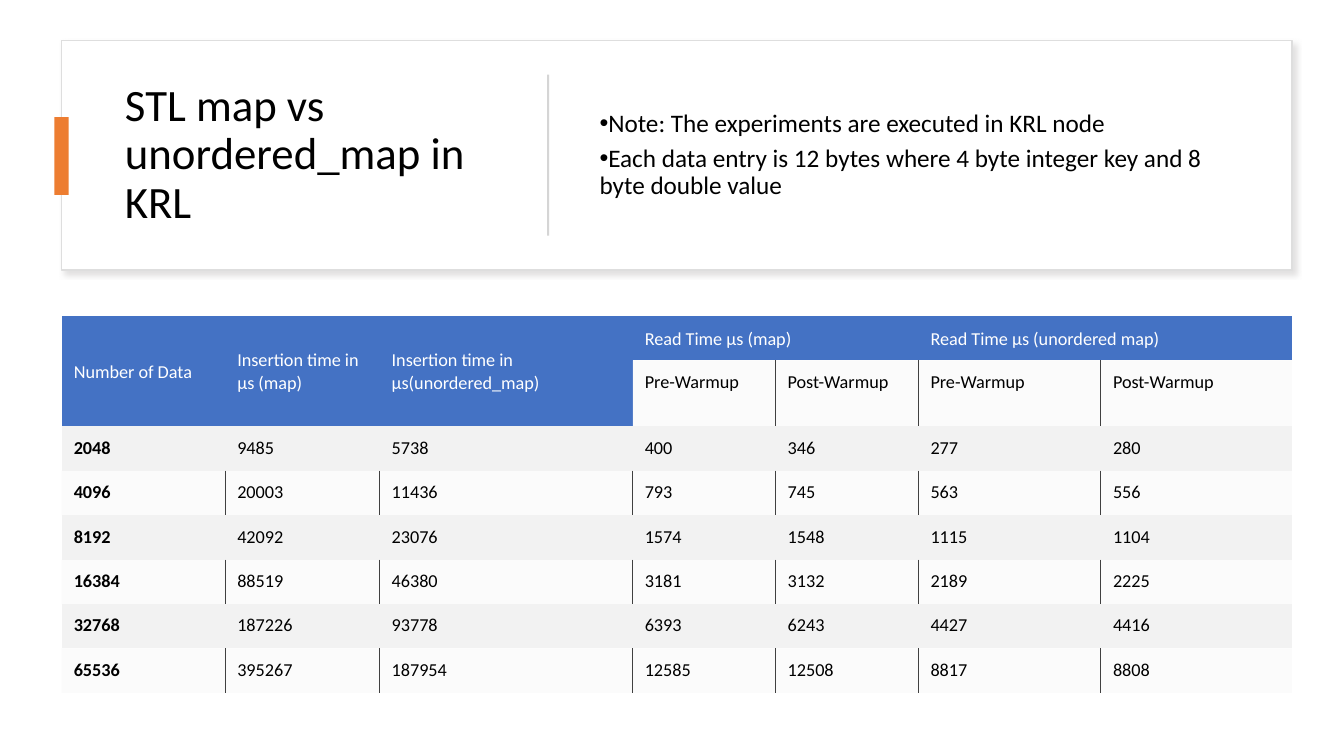
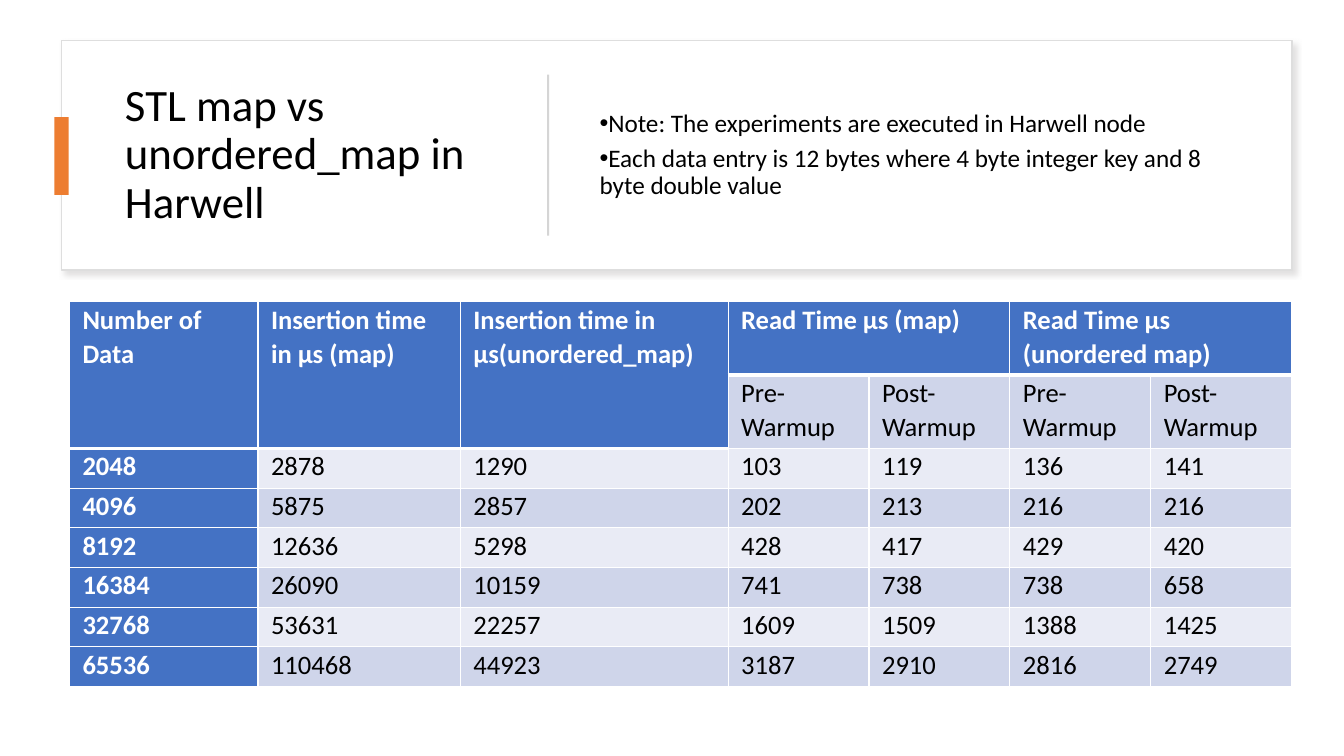
from dataclasses import dataclass

from lxml import etree
from pptx import Presentation
from pptx import util as u
from pptx.dml.color import RGBColor
from pptx.enum import shapes, text
from pptx.oxml import ns


@dataclass(frozen=True)
class Theme:
    font: str = "Calibri"
    title_size: float = 32
    note_size: float = 18
    white: str = "FFFFFF"
    black: str = "000000"
    blue: str = "4472C4"
    orange: str = "ED7D31"
    card_line: str = "DEDEDE"
    card_shadow: str = "C5C3C3"
    divider: str = "D5D5D5"
    grid: str = "404040"
    grey_band: str = "F2F2F2"
    dark_band: str = "CFD5EA"
    light_band: str = "E9EBF5"


@dataclass(frozen=True)
class Box:
    """A region measured in centimetres."""
    left: float
    top: float
    width: float
    height: float

    def inner(self, left, top, width, height):
        return Box(self.left + left, self.top + top, width, height)

    def lengths(self):
        return [u.Cm(value) for value in (self.left, self.top, self.width, self.height)]


@dataclass(frozen=True)
class TableLook:
    size: float
    margins: tuple  # left, top, right, bottom in centimetres
    header_anchor: text.MSO_ANCHOR
    header_bold: bool
    key_column_filled: bool
    white_grid: bool


THEME = Theme()
CARD = Box(1.55, 1.02, 31.01, 5.79)
PLAIN = TableLook(13, (0.31, 0.23, 0.17, 0.23), text.MSO_ANCHOR.MIDDLE, False, False, False)
GRIDDED = TableLook(19, (0.33, 0, 0.33, 0), text.MSO_ANCHOR.TOP, True, True, True)
NO_STYLE = "{2D5ABB26-0587-4C30-8999-92F81FD0307C}"

TALL_HEADERS = ["Number of Data", "Insertion time in µs (map)",
                "Insertion time in µs(unordered_map)"]
GROUPS = ["Read Time µs (map)", "Read Time µs (unordered map)"]
WARMUPS = ["Pre-Warmup", "Post-Warmup"]
HEADER_ROWS = 2
COUNTS = [2048, 4096, 8192, 16384, 32768, 65536]

FIRST_TIMES = [
    [9485, 5738, 400, 346, 277, 280],
    [20003, 11436, 793, 745, 563, 556],
    [42092, 23076, 1574, 1548, 1115, 1104],
    [88519, 46380, 3181, 3132, 2189, 2225],
    [187226, 93778, 6393, 6243, 4427, 4416],
    [395267, 187954, 12585, 12508, 8817, 8808],
]
SECOND_TIMES = [
    [2878, 1290, 103, 119, 136, 141],
    [5875, 2857, 202, 213, 216, 216],
    [12636, 5298, 428, 417, 429, 420],
    [26090, 10159, 741, 738, 738, 658],
    [53631, 22257, 1609, 1509, 1388, 1425],
    [110468, 44923, 3187, 2910, 2816, 2749],
]


def rgb(color):
    return RGBColor.from_string(color)


def add_element(parent, tag, **attributes):
    element = etree.SubElement(parent, ns.qn(tag))
    for name, value in attributes.items():
        element.set(name, str(value))
    return element


def add_run(paragraph, words, size, color=THEME.black, bold=False):
    run = paragraph.add_run()
    run.text = words
    run.font.name = THEME.font
    run.font.size = u.Pt(size)
    run.font.bold = bold
    run.font.color.rgb = rgb(color)


def add_rectangle(slide, box, fill):
    shape = slide.shapes.add_shape(shapes.MSO_SHAPE.RECTANGLE, *box.lengths())
    shape.shadow.inherit = False
    shape.fill.solid()
    shape.fill.fore_color.rgb = rgb(fill)
    shape.line.fill.background()
    return shape


def add_text_frame(slide, box):
    frame = slide.shapes.add_textbox(*box.lengths()).text_frame
    frame.word_wrap = True
    frame.vertical_anchor = text.MSO_ANCHOR.MIDDLE
    return frame


def add_card_shadow(shape):
    effects = shape._element.spPr.find(ns.qn("a:effectLst"))
    shadow = add_element(effects, "a:outerShdw", blurRad=u.Pt(4), dist=u.Pt(3),
                         dir=45 * 60000, algn="tl", rotWithShape=0)
    color = add_element(shadow, "a:srgbClr", val=THEME.card_shadow)
    add_element(color, "a:alpha", val=50000)


def add_heading_card(slide, box, title, notes):
    card = add_rectangle(slide, box, THEME.white)
    card.line.color.rgb = rgb(THEME.card_line)
    card.line.width = u.Pt(1)
    add_card_shadow(card)

    paragraph = add_text_frame(slide, box.inner(1.35, 0.61, 9.88, 4.57)).paragraphs[0]
    paragraph.line_spacing = 0.9
    add_run(paragraph, title, THEME.title_size)

    add_rectangle(slide, box.inner(-0.18, 1.93, 0.36, 1.96), THEME.orange)
    add_rectangle(slide, box.inner(12.24, 0.86, 0.05, 4.06), THEME.divider)

    frame = add_text_frame(slide, box.inner(13.31, 0.61, 16.66, 4.57))
    for index, note in enumerate(notes):
        paragraph = frame.add_paragraph() if index else frame.paragraphs[0]
        properties = paragraph._p.get_or_add_pPr()
        properties.set("marL", "0")
        properties.set("indent", str(-u.Cm(0.64)))
        add_element(properties, "a:buFont", typeface="Arial")
        add_element(properties, "a:buChar", char="•")
        paragraph.line_spacing = 0.9
        paragraph.space_after = u.Pt(6)
        add_run(paragraph, note, THEME.note_size)


def header_end(column):
    """Last header row of a column."""
    return 1 if column < len(TALL_HEADERS) else 0


def cell_borders(look, row, column, last_column):
    """Map each side to a colour and a width in points."""
    if look.white_grid:
        end = header_end(column)
        return {"L": (THEME.white, 1), "R": (THEME.white, 1),
                "T": (THEME.white, 3 if row == end + 1 else 1),
                "B": (THEME.white, 3 if row == end or row < end else 1)}
    if row <= header_end(column) or row % 2 == 0:
        return {}
    first_column = len(TALL_HEADERS) if row < HEADER_ROWS else 0
    borders = {}
    if column > first_column:
        borders["L"] = (THEME.grid, 0.5)
    if column < last_column:
        borders["R"] = (THEME.grid, 0.5)
    return borders


def set_borders(cell, borders):
    properties = cell._tc.get_or_add_tcPr()
    for side, (color, width) in borders.items():
        line = add_element(properties, "a:ln" + side, w=u.Pt(width))
        add_element(add_element(line, "a:solidFill"), "a:srgbClr", val=color)


def set_fill(cell, color, alpha=None):
    cell.fill.solid()
    cell.fill.fore_color.rgb = rgb(color)
    if alpha is not None:
        value = cell._tc.tcPr.find(".//" + ns.qn("a:solidFill") + "[last()]")
        add_element(cell._tc.tcPr.findall(ns.qn("a:solidFill"))[0][0]
                    if value is not None else value, "a:alpha", val=alpha * 1000)


def style_cell(cell, look, row, column, last_column):
    set_borders(cell, cell_borders(look, row, column, last_column))
    is_header = row <= header_end(column)
    if is_header or (look.key_column_filled and column == 0):
        set_fill(cell, THEME.blue)
    elif look.white_grid:
        set_fill(cell, THEME.dark_band if row % 2 else THEME.light_band)
    else:
        set_fill(cell, THEME.grey_band, 30 if row % 2 else None)
    cell.margin_left, cell.margin_top, cell.margin_right, cell.margin_bottom = (
        u.Cm(margin) for margin in look.margins)
    if is_header:
        cell.vertical_anchor = look.header_anchor


def write_cell(cell, look, row, column, words):
    is_header = row <= header_end(column)
    is_key = column == 0 and not is_header
    on_blue = is_header or (is_key and look.key_column_filled)
    paragraph = cell.text_frame.paragraphs[0]
    paragraph.line_spacing = 1.07
    add_run(paragraph, words, look.size, THEME.white if on_blue else THEME.black,
            is_key or (is_header and look.header_bold))


def merge_headers(table):
    for column in range(len(TALL_HEADERS)):
        table.cell(0, column).merge(table.cell(1, column))
    for index in range(len(GROUPS)):
        column = len(TALL_HEADERS) + index * len(WARMUPS)
        table.cell(0, column).merge(table.cell(0, column + len(WARMUPS) - 1))


def table_words(times):
    """Rows of words, with None where a merged cell is covered."""
    top = TALL_HEADERS + [words for group in GROUPS for words in (group, None)]
    second = [None] * len(TALL_HEADERS) + WARMUPS * len(GROUPS)
    body = [[str(value) for value in (count, *row)] for count, row in zip(COUNTS, times)]
    return [top, second] + body


def add_timing_table(slide, left, top, widths, heights, look, times):
    rows = table_words(times)
    box = Box(left, top, sum(widths), sum(heights))
    frame = slide.shapes.add_table(len(rows), len(widths), *box.lengths())
    table = frame.table
    table.first_row = table.horz_banding = False
    table._tbl.tblPr.find(ns.qn("a:tableStyleId")).text = NO_STYLE
    for column, width in zip(table.columns, widths):
        column.width = u.Cm(width)
    for row, height in zip(table.rows, heights):
        row.height = u.Cm(height)
    merge_headers(table)
    for row, line in enumerate(rows):
        for column, words in enumerate(line):
            cell = table.cell(row, column)
            style_cell(cell, look, row, column, len(widths) - 1)
            if words is not None:
                write_cell(cell, look, row, column, words)


def add_timing_slide(presentation, node, **table):
    slide = presentation.slides.add_slide(presentation.slide_layouts[6])
    notes = [f"Note: The experiments are executed in {node} node",
             "Each data entry is 12 bytes where 4 byte integer key and 8 byte double value"]
    add_heading_card(slide, CARD, f"STL map vs unordered_map in {node}", notes)
    add_timing_table(slide, **table)


def main():
    presentation = Presentation()
    presentation.slide_width = u.Cm(33.87)
    presentation.slide_height = u.Cm(19.05)
    add_timing_slide(presentation, "KRL", left=CARD.left, top=7.96,
                     widths=[4.12, 3.89, 6.38, 3.6, 3.6, 4.6, 4.82],
                     heights=[1.12, 1.66] + [1.12] * len(COUNTS),
                     look=PLAIN, times=FIRST_TIMES)
    add_timing_slide(presentation, "Harwell", left=1.75, top=7.6,
                     widths=[4.75, 5.1, 6.75] + [3.55] * 4,
                     heights=[1.85] * HEADER_ROWS + [1.0] * len(COUNTS),
                     look=GRIDDED, times=SECOND_TIMES)
    presentation.save("out.pptx")


if __name__ == "__main__":
    main()
